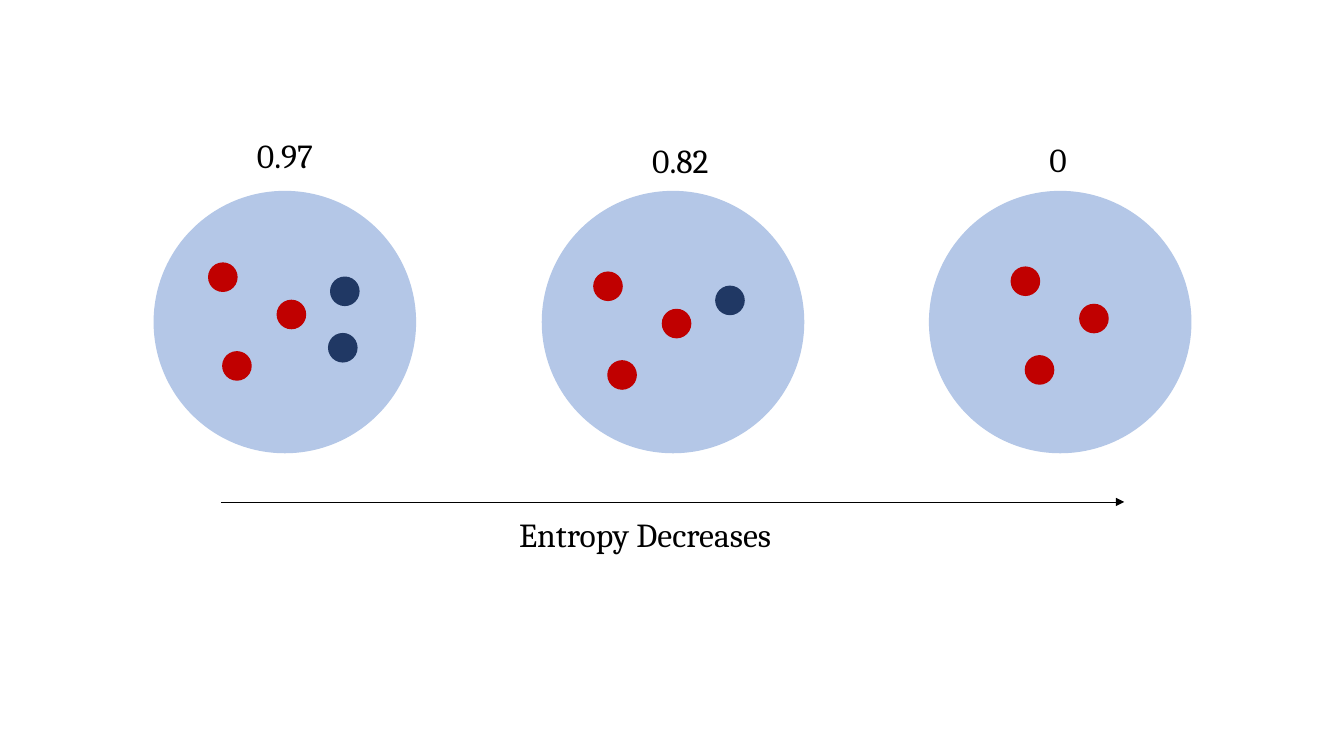
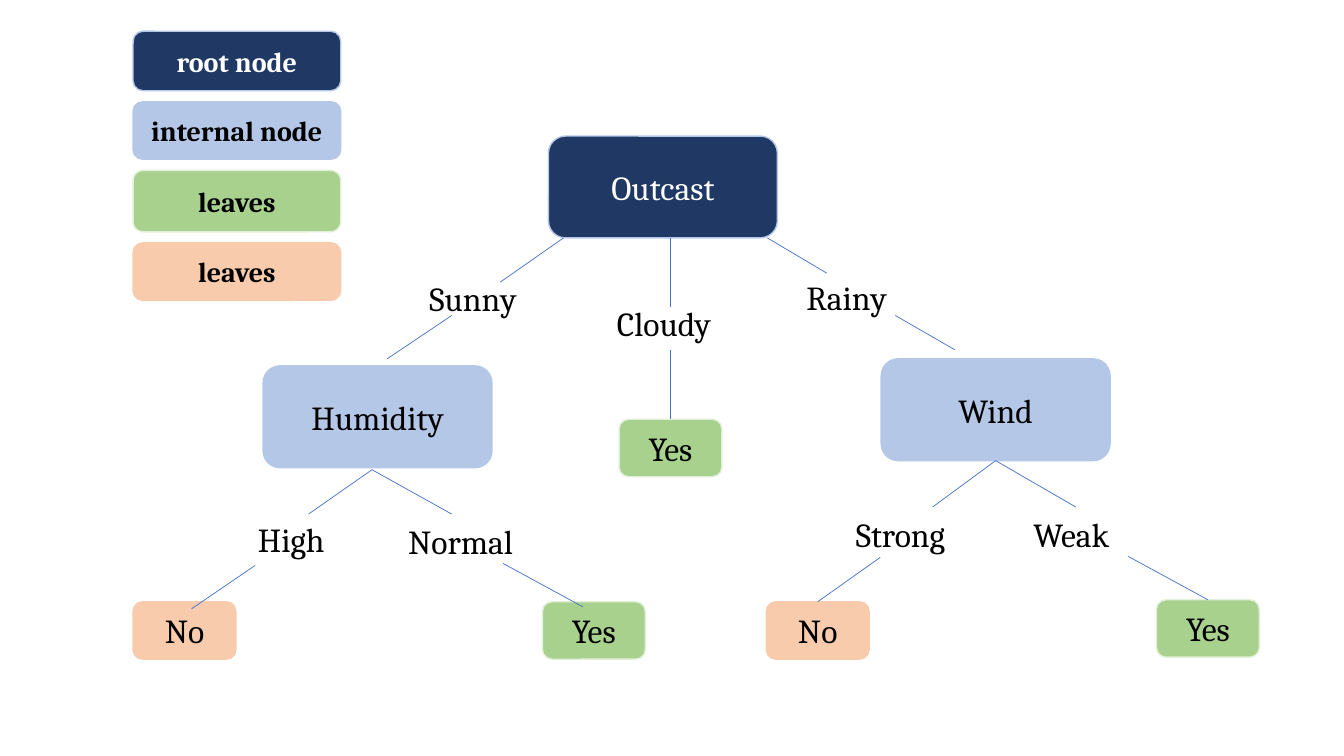
from lxml.etree import SubElement
from pptx import Presentation
from pptx.dml.color import RGBColor
from pptx.enum.shapes import MSO_CONNECTOR, MSO_SHAPE
from pptx.enum.text import MSO_ANCHOR, MSO_AUTO_SIZE, PP_ALIGN
from pptx.oxml.ns import qn
from pptx.util import Pt

EMU_PER_PX = 9144  # 100 px to the inch
FONT = "Cambria"
COLORS = {
    "black": "000000",
    "white": "FFFFFF",
    "navy": "203864",
    "pale blue": "B4C7E7",
    "blue": "4472C4",
    "red": "C00000",
    "green": "A9D18E",
    "pale green": "E2F0D9",
    "peach": "F8CBAD",
}
# Node kind: fill, outline, text colour
NODE_STYLES = {
    "root": ("navy", "pale blue", "white"),
    "internal": ("pale blue", "pale blue", "black"),
    "yes": ("green", "pale green", "black"),
    "no": ("peach", "peach", "black"),
}
TOP, BOTTOM = 0, 2


def px(*lengths):
    return [length * EMU_PER_PX for length in lengths]


def rgb(color):
    return RGBColor.from_string(COLORS[color])


class Deck:
    def __init__(self, width, height):
        self.presentation = Presentation()
        self.presentation.slide_width, self.presentation.slide_height = px(width, height)
        self.slide = None

    def add_slide(self):
        self.slide = self.presentation.slides.add_slide(self.presentation.slide_layouts[6])

    def shape(self, kind, left, top, width, height, fill, outline):
        shape = self.slide.shapes.add_shape(kind, *px(left, top, width, height))
        shape.shadow.inherit = False
        shape.fill.solid()
        shape.fill.fore_color.rgb = rgb(fill)
        shape.line.color.rgb = rgb(outline)
        shape.line.width = Pt(1)
        return shape

    def circle(self, left, top, diameter, color):
        return self.shape(MSO_SHAPE.OVAL, left, top, diameter, diameter, color, color)

    def set_text(self, text_frame, text, color="black", size=24, bold=False):
        text_frame.text = text
        font = text_frame.paragraphs[0].runs[0].font
        font.name, font.size, font.bold = FONT, Pt(size), bold
        font.color.rgb = rgb(color)

    def node(self, style, text, left, top, width, height, size=24, bold=False):
        fill, outline, color = NODE_STYLES[style]
        shape = self.shape(MSO_SHAPE.ROUNDED_RECTANGLE, left, top, width, height, fill, outline)
        self.set_text(shape.text_frame, text, color, size, bold)
        shape.text_frame.vertical_anchor = MSO_ANCHOR.MIDDLE
        shape.text_frame.paragraphs[0].alignment = PP_ALIGN.CENTER
        return shape

    def label(self, text, left, top, width):
        box = self.slide.shapes.add_textbox(*px(left, top, width, 50))
        box.text_frame.word_wrap = False
        box.text_frame.auto_size = MSO_AUTO_SIZE.SHAPE_TO_FIT_TEXT
        self.set_text(box.text_frame, text)

    def line(self, start, end, color="blue", arrow=False):
        connector = self.slide.shapes.add_connector(
            MSO_CONNECTOR.STRAIGHT, *px(*start, *end))
        connector.line.color.rgb = rgb(color)
        connector.line.width = Pt(0.5)
        properties = connector._element.spPr
        if arrow:
            SubElement(properties.find(qn("a:ln")), qn("a:tailEnd"), type="triangle")
        SubElement(properties, qn("a:effectLst"))
        return connector


def entropy_slide(deck):
    deck.add_slide()
    red_offsets = [(0, 0), (68, 37), (14, 88)]
    navy_offsets = [(121, 14), (119, 70)]
    # Entropy, label box, circle left, first dot, number of navy dots
    samples = [
        ("0.97", (245, 129, 86), 153, (207, 261), 2),
        ("0.82", (637, 134, 86), 538, (589, 270), 1),
        ("0", (1031, 133, 39), 922, (1003, 265), 0),
    ]
    for entropy, label_box, circle_left, (dot_left, dot_top), navy_count in samples:
        deck.circle(circle_left, 190, 259, "pale blue")
        dots = [("red", offset) for offset in red_offsets]
        dots += [("navy", offset) for offset in navy_offsets[:navy_count]]
        for color, (across, down) in dots:
            deck.circle(dot_left + across, dot_top + down, 28, color)
        deck.label(entropy, *label_box)
    deck.line((219, 498), (1115, 498), "black", arrow=True)
    deck.label("Entropy Decreases", 505, 505, 303)


def decision_tree_slide(deck):
    deck.add_slide()
    legend = [
        ("root", "root node", 31, 59),
        ("internal", "internal node", 101, 57),
        ("yes", "leaves", 169, 61),
        ("no", "leaves", 241, 57),
    ]
    for style, text, top, height in legend:
        deck.node(style, text, 132, top, 206, height, size=20, bold=True)

    decision_size, leaf_size = (227, 101), (102, 57)
    deck.node("root", "Outcast", 544, 135, *decision_size)
    deck.node("internal", "Humidity", 261, 363, *decision_size)
    wind = deck.node("internal", "Wind", 874, 356, *decision_size)
    deck.node("no", "No", 132, 597, *leaf_size)
    deck.node("yes", "Yes", 538, 597, *leaf_size)
    cloudy_leaf = deck.node("yes", "Yes", 614, 416, *leaf_size)
    strong_leaf = deck.node("no", "No", 760, 597, *leaf_size)
    weak_leaf = deck.node("yes", "Yes", 1147, 595, *leaf_size)

    # Answer, label box, line above it, line below it, joined node above, below
    branches = [
        ("Sunny", (416, 271, 112), ((559, 236), (496, 280)), ((448, 313), (384, 356)), None, None),
        ("Cloudy", (602, 296, 127), ((665, 236), (665, 305)), ((665, 347), (665, 416)), None, cloudy_leaf),
        ("Rainy", (790, 270, 101), ((761, 236), (820, 271)), ((888, 313), (947, 347)), None, None),
        ("High", (246, 510, 92), ((369, 466), (306, 510)), ((253, 561), (190, 604)), None, None),
        ("Normal", (395, 512, 133), ((369, 466), (448, 510)), ((499, 559), (578, 602)), None, None),
        ("Strong", (839, 505, 121), ((989, 459), (925, 503)), ((873, 553), (809, 597)), wind, strong_leaf),
        ("Weak", (1015, 505, 104), ((989, 459), (1067, 503)), ((1119, 552), (1197, 595)), wind, weak_leaf),
    ]
    for answer, label_box, upper, lower, parent, leaf in branches:
        upper_line = deck.line(*upper)
        if parent is not None:
            upper_line.begin_connect(parent, BOTTOM)
        lower_line = deck.line(*lower)
        if leaf is not None:
            lower_line.end_connect(leaf, TOP)
        deck.label(answer, *label_box)


def main():
    deck = Deck(1333, 750)
    entropy_slide(deck)
    decision_tree_slide(deck)
    deck.presentation.save("out.pptx")


if __name__ == "__main__":
    main()
